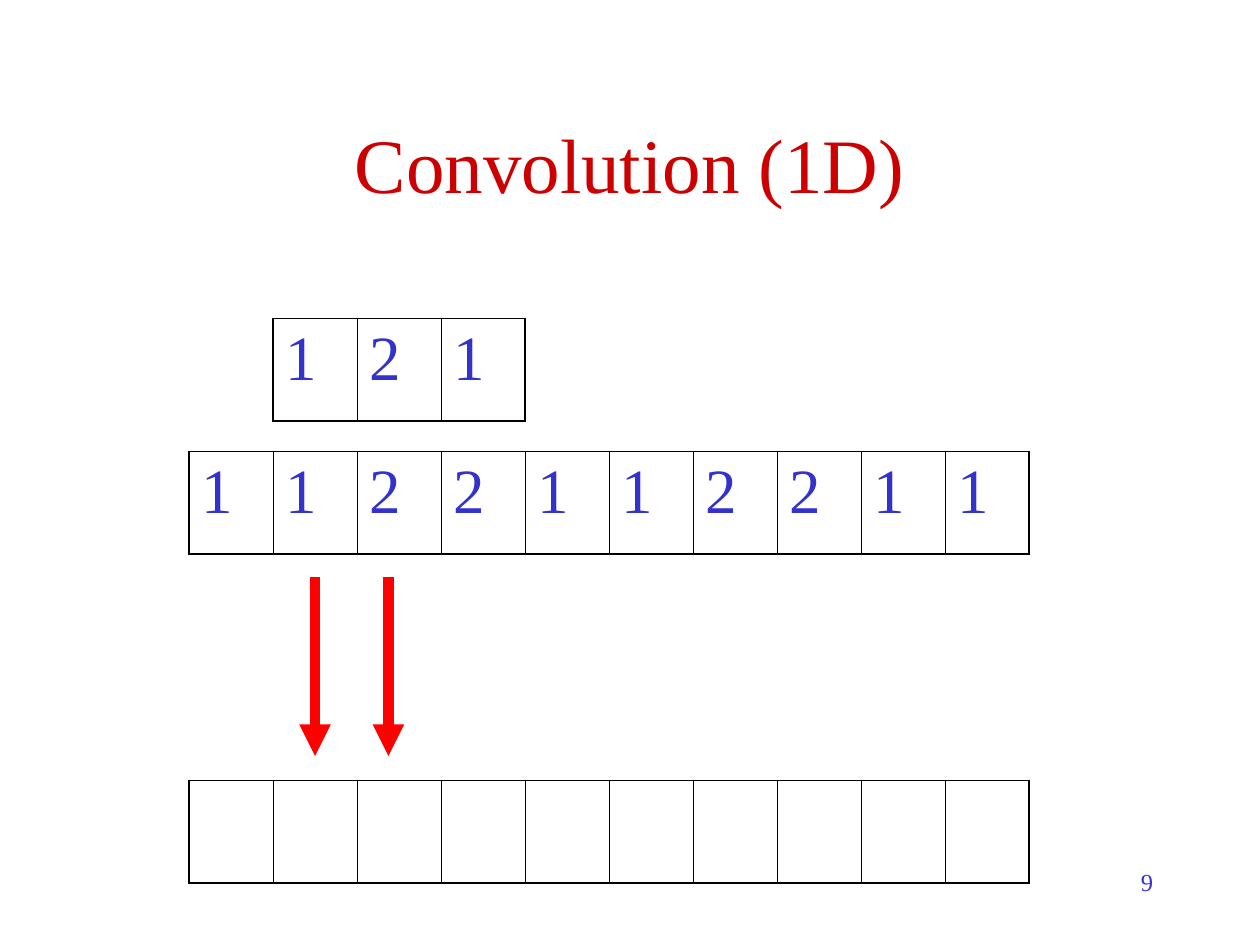
from lxml import etree
from pptx import Presentation
from pptx.dml.color import RGBColor
from pptx.enum.shapes import MSO_CONNECTOR
from pptx.enum.text import MSO_ANCHOR, PP_ALIGN
from pptx.oxml.ns import qn
from pptx.util import Pt

STRAIGHT = MSO_CONNECTOR.STRAIGHT
MIDDLE = MSO_ANCHOR.MIDDLE
CENTER, LEFT, RIGHT = PP_ALIGN.CENTER, PP_ALIGN.LEFT, PP_ALIGN.RIGHT

FONT = "Times New Roman"
TITLE_RED = RGBColor(0xCC, 0x00, 0x00)
ARROW_RED = RGBColor(0xFF, 0x00, 0x00)
BLUE = RGBColor(0x33, 0x33, 0xCC)
BLACK = RGBColor(0x00, 0x00, 0x00)

CELL_W, CELL_H = 48, 58.5
OUTER, INNER = 1.08, 0.45  # border widths
SIGNAL_X = 108

KERNEL = ["1", "2", "1"]
SIGNAL = ["1", "1", "2", "2", "1", "1", "2", "2", "1", "1"]
RESULT = [""] * len(SIGNAL)


def write(tf, text, size, color, align):
    """Put one formatted paragraph in a text frame."""
    tf.word_wrap = True
    tf.text = text
    p = tf.paragraphs[0]
    p.alignment = align
    for r in p.runs:
        r.font.name = FONT
        r.font.size = Pt(size)
        r.font.color.rgb = color
    return p


def add_title(s, text):
    sp = s.shapes.title
    sp.left, sp.top, sp.width, sp.height = Pt(54), Pt(48), Pt(612), Pt(90)
    sp.text_frame.vertical_anchor = MIDDLE
    write(sp.text_frame, text, 44, TITLE_RED, CENTER)


def set_borders(cell, widths):
    """Draw the left, right, top and bottom borders, in that order."""
    tcPr = cell._tc.get_or_add_tcPr()
    for i, (side, width) in enumerate(zip("LRTB", widths)):
        ln = etree.Element(qn("a:ln" + side), w=str(Pt(width)))
        fill = etree.SubElement(ln, qn("a:solidFill"))
        etree.SubElement(fill, qn("a:srgbClr"), val=str(BLACK))
        tcPr.insert(i, ln)


def add_array(s, x, y, values):
    """Add a one-row table with one cell for each value."""
    last = len(values) - 1
    table = s.shapes.add_table(1, len(values), Pt(x), Pt(y),
                               Pt(CELL_W * len(values)), Pt(CELL_H)).table
    table.first_row = table.horz_banding = False
    for i, value in enumerate(values):
        table.columns[i].width = Pt(CELL_W)
        cell = table.cell(0, i)
        cell.fill.background()
        p = write(cell.text_frame, value, 36, BLUE, LEFT)
        p.space_before = Pt(9)
        set_borders(cell, (OUTER if i == 0 else INNER,
                           OUTER if i == last else INNER, OUTER, OUTER))


def add_down_arrow(s, x, top, bottom):
    line = s.shapes.add_connector(STRAIGHT, Pt(x), Pt(top), Pt(x), Pt(bottom))
    line.line.color.rgb = ARROW_RED
    line.line.width = Pt(6)
    etree.SubElement(line.line._get_or_add_ln(), qn("a:tailEnd"), type="triangle")
    etree.SubElement(line._element.spPr, qn("a:effectLst"))


def add_page_number(s, text):
    sp = s.shapes.add_textbox(Pt(516), Pt(492), Pt(150), Pt(36))
    write(sp.text_frame, text, 14, BLUE, RIGHT)


def main():
    prs = Presentation()
    prs.slide_width, prs.slide_height = Pt(720), Pt(540)
    s = prs.slides.add_slide(prs.slide_layouts[5])  # title only

    add_title(s, "Convolution (1D)")

    # Signal, result, and the kernel one cell in from the left
    add_array(s, SIGNAL_X, 258, SIGNAL)
    add_array(s, SIGNAL_X, 446, RESULT)
    add_array(s, SIGNAL_X + CELL_W, 182, KERNEL)

    # Arrows from signal to result
    for x in (180, 222):
        add_down_arrow(s, x, 330, 432)

    add_page_number(s, "9")
    prs.save("out.pptx")


if __name__ == "__main__":
    main()
